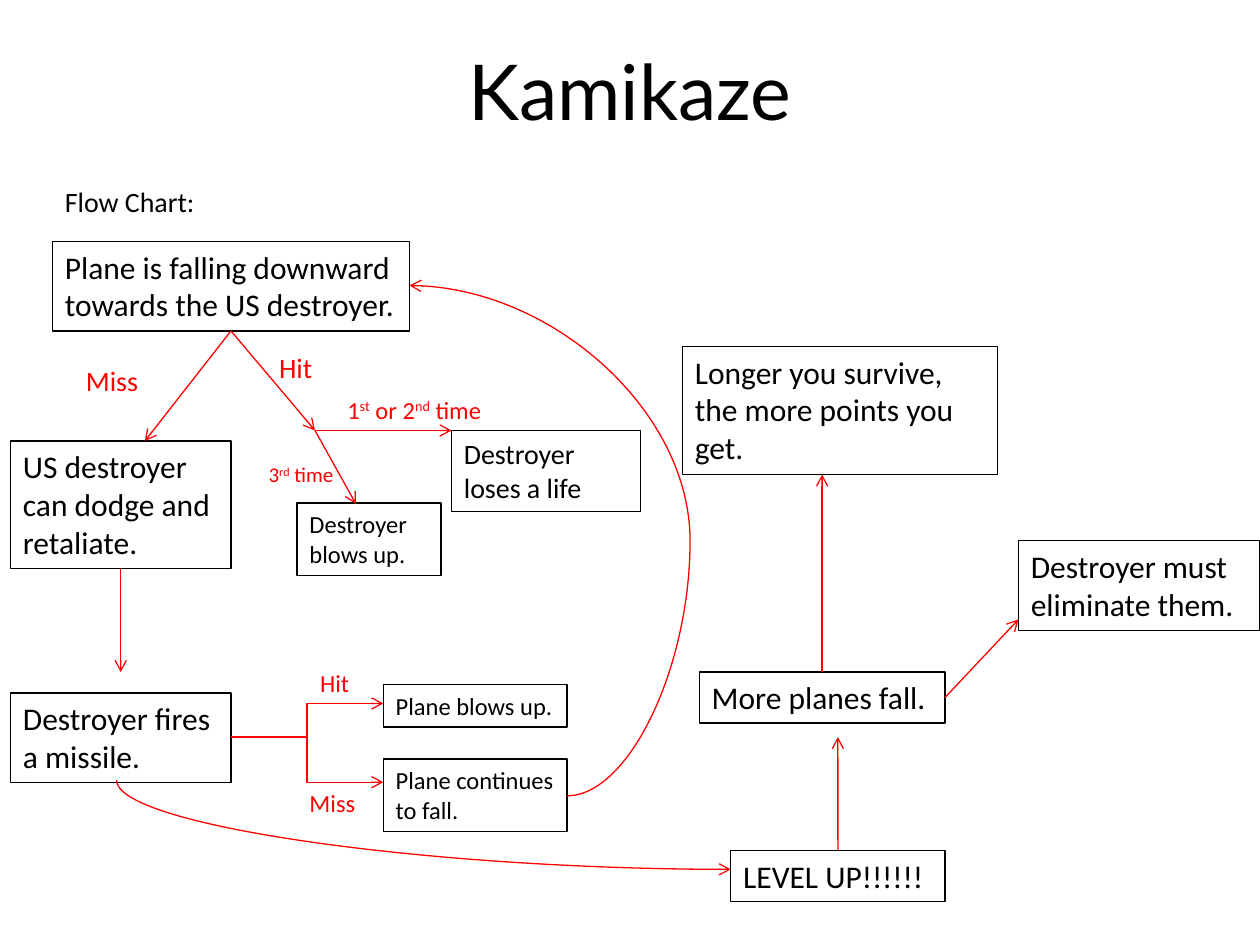
from dataclasses import dataclass

from lxml.etree import SubElement
from pptx import Presentation
from pptx.dml.color import RGBColor
from pptx.enum.shapes import MSO_CONNECTOR as Route, MSO_SHAPE as Preset
from pptx.enum.text import MSO_ANCHOR as Anchor, PP_ALIGN as Align
from pptx.oxml.ns import qn
from pptx.util import Inches, Pt


@dataclass(frozen=True)
class Theme:
    ink: RGBColor = RGBColor(0, 0, 0)
    flow: RGBColor = RGBColor(255, 0, 0)
    title_font: str = "Lato"
    body_font: str = "Calibri"
    title: int = 44
    large: int = 18
    medium: int = 16
    small: int = 14
    tiny: int = 12
    rule: float = 0.75
    line_height: float = 1.22
    insets: float = 7.2


THEME = Theme()
COLUMNS, ROWS, PER_INCH = 120, 90, 12
TITLE = ("Kamikaze", (9, 2, 102, 13))

# step: text, left, top, width (grid cells), size, lines
STEPS = {
    "falling": ("Plane is falling downward towards the US destroyer.", 5, 23, 34, THEME.large, 2),
    "dodge": ("US destroyer can dodge and retaliate.", 1, 42, 21, THEME.large, 3),
    "life": ("Destroyer loses a life", 43, 41, 18, THEME.medium, 2),
    "sunk": ("Destroyer blows up.", 28.3, 47.9, 13.7, THEME.small, 2),
    "missile": ("Destroyer fires a missile.", 1, 66, 21, THEME.large, 2),
    "downed": ("Plane blows up.", 36.5, 65.2, 17.5, THEME.small, 1),
    "continues": ("Plane continues to fall.", 36.5, 72.3, 17.5, THEME.small, 2),
    "level": ("LEVEL UP!!!!!!", 69.6, 81, 20.4, THEME.large, 1),
    "more": ("More planes fall.", 66.6, 64, 23.4, THEME.large, 1),
    "eliminate": ("Destroyer must eliminate them.", 97, 51.5, 23, THEME.large, 2),
    "survive": ("Longer you survive, the more points you get.", 65, 33, 30, THEME.large, 3),
}

# text (^ encloses superscript), left, top, width, size, colour
LABELS = [
    ("Flow Chart:", 5, 17, 17.5, THEME.medium, THEME.ink),
    ("Hit", 25.4, 32.8, 5.8, THEME.medium, THEME.flow),
    ("Miss", 7, 34, 9, THEME.medium, THEME.flow),
    ("1^st^ or 2^nd^ time", 31.9, 37, 16.8, THEME.small, THEME.flow),
    ("3^rd^ time", 24.4, 43.4, 9.8, THEME.tiny, THEME.flow),
    ("Hit", 29.3, 63, 6, THEME.small, THEME.flow),
    ("Miss", 28.3, 74.5, 8.2, THEME.small, THEME.flow),
]

TOP, BOTTOM, RIGHT = 0, 2, 3
HIT_FORK = (30, 41)
# start is a grid point or a (step, side) pair
ARROWS = [
    (("falling", BOTTOM), (13.8, 42)),
    (("falling", BOTTOM), HIT_FORK),
    (HIT_FORK, (43, 41)),
    (HIT_FORK, (33.9, 48)),
    (("dodge", BOTTOM), (11.5, 64)),
    (("level", TOP), (79.8, 70.2)),
    (("more", RIGHT), (97, 59)),
    (("more", TOP), (78.3, 45.2)),
]
MISSILE_SIDE = (22, 70.2)
OUTCOMES = [(36.5, 74.5), (36.5, 67)]
RETRY = ((54, 75.8), (39, 27.2))
RETRY_BULGE = -78200
LEVEL_UP = ((11.1, 74.3), (69.6, 82.8))


def cells(*values):
    return [Inches(value / PER_INCH) for value in values]


def text_height(size, lines):
    """Height in grid cells of a box that fits its lines."""
    return (size * THEME.line_height * lines + THEME.insets) * PER_INCH / 72


def write(shape, text, size, color, font=THEME.body_font, align=Align.LEFT, anchor=Anchor.TOP):
    frame = shape.text_frame
    for name, value in {"word_wrap": True, "vertical_anchor": anchor}.items():
        setattr(frame, name, value)
    paragraph = frame.paragraphs[0]
    paragraph.alignment = align
    for index, part in enumerate(text.split("^")):
        run = paragraph.add_run()
        run.text = part
        for name, value in {"name": font, "size": Pt(size)}.items():
            setattr(run.font, name, value)
        run.font.color.rgb = color
        if index % 2:
            run.font._element.set("baseline", "30000")


def add_step(shapes, text, left, top, width, size, lines):
    box = shapes.add_shape(Preset.RECTANGLE, *cells(left, top, width, text_height(size, lines)))
    box.shadow.inherit = False
    box.fill.background()
    box.line.color.rgb = THEME.ink
    box.line.width = Pt(THEME.rule)
    write(box, text, size, THEME.ink)
    return box


def add_arrow(shapes, route, start, end):
    arrow = shapes.add_connector(route, *cells(*start, *end))
    arrow.line.color.rgb = THEME.flow
    arrow.line.width = Pt(THEME.rule)
    SubElement(arrow.line._get_or_add_ln(), qn("a:tailEnd"), type="arrow")
    SubElement(arrow._element.spPr, qn("a:effectLst"))
    return arrow


def add_quarter_curve(shapes, start, end):
    """Arrow leaving downward and arriving sideways: a flipped connector turned by 270 degrees."""
    (x1, y1), (x2, y2) = start, end
    middle_x, middle_y = (x1 + x2) / 2, (y1 + y2) / 2
    half_run, half_drop = (x2 - x1) / 2, (y2 - y1) / 2
    arrow = add_arrow(shapes, Route.CURVE, (middle_x + half_drop, middle_y - half_run),
                      (middle_x - half_drop, middle_y + half_run))
    properties = arrow._element.spPr
    properties.find(qn("a:xfrm")).set("rot", str(270 * 60000))
    properties.find(qn("a:prstGeom")).set("prst", "curvedConnector2")


def main():
    deck = Presentation()
    deck.slide_width, deck.slide_height = cells(COLUMNS, ROWS)
    slide = deck.slides.add_slide(deck.slide_layouts[5])
    shapes = slide.shapes

    heading, place = TITLE
    title = shapes.title
    for name, value in zip(("left", "top", "width", "height"), cells(*place)):
        setattr(title, name, value)
    write(title, heading, THEME.title, THEME.ink, THEME.title_font, Align.CENTER, Anchor.MIDDLE)

    steps = {key: add_step(shapes, *step) for key, step in STEPS.items()}
    for text, left, top, width, size, color in LABELS:
        label = shapes.add_textbox(*cells(left, top, width, text_height(size, 1)))
        write(label, text, size, color)

    for start, end in ARROWS:
        joined = start[0] in steps
        arrow = add_arrow(shapes, Route.STRAIGHT, end if joined else start, end)
        if joined:
            step, side = start
            arrow.begin_connect(steps[step], side)
    for outcome in OUTCOMES:
        add_arrow(shapes, Route.ELBOW, MISSILE_SIDE, outcome)

    retry = add_arrow(shapes, Route.CURVE, *RETRY)
    guides = retry._element.spPr.find(qn("a:prstGeom")).get_or_add_avLst()
    SubElement(guides, qn("a:gd"), name="adj1", fmla=f"val {RETRY_BULGE}")
    add_quarter_curve(shapes, *LEVEL_UP)

    deck.save("out.pptx")


if __name__ == "__main__":
    main()
